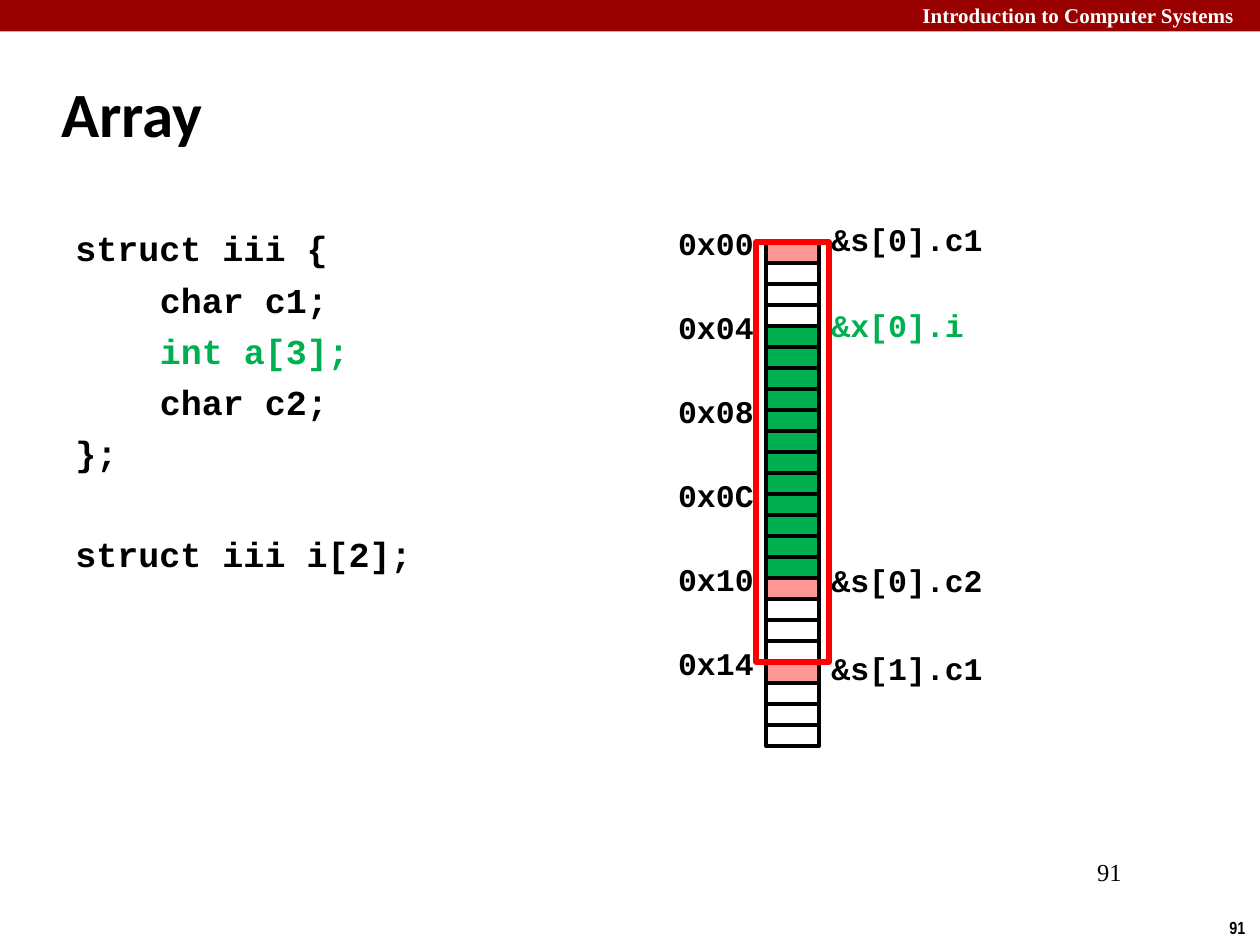
from dataclasses import dataclass

from pptx import Presentation
from pptx import util as u
from pptx.dml.color import RGBColor
from pptx.enum import shapes, text


@dataclass(frozen=True)
class Theme:
    black: str = "000000"
    white: str = "FFFFFF"
    banner: str = "990000"
    char: str = "FF9797"
    array: str = "00B050"
    outline: str = "FF0000"
    title_size: int = 36
    code_size: int = 20
    label_size: int = 18
    number_size: int = 14
    header_size: int = 12
    footer_size: int = 10
    heading: str = "Calibri"
    code: str = "Courier New"
    serif: str = "Times New Roman"
    narrow: str = "Arial Narrow"


T = Theme()
CELL_LEFT, CELL_TOP = 6.08, 1.92
CELL_W, CELL_H = 0.42, 1 / 6
ROWS, WORD, STRUCT_ROWS = 24, 4, 20
CHAR_ROWS = (0, 16, 20)
ARRAY_ROWS = range(4, 16)
LINE_GAP = 0.265

CODE = [
    ("struct iii {", 0, T.black, 0),
    ("char c1;", 1, T.black, 0),
    ("int a[3];", 1, T.array, 0),
    ("char c2;", 1, T.black, 0),
    ("};", 0, T.black, 0),
    ("struct iii i[2];", 0, T.black, 28),
]
FIELDS = [
    ("&s[0].c1", 1.7, T.black),
    ("&x[0].i", 2.38, T.array),
    ("&s[0].c2", 4.4, T.black),
    ("&s[1].c1", 5.1, T.black),
]


def add_box(s, x, y, w, h, wrap=True, anchor=text.MSO_ANCHOR.TOP):
    sp = s.shapes.add_textbox(*map(u.Inches, (x, y, w, h)))
    tf = sp.text_frame
    tf.word_wrap = wrap
    tf.vertical_anchor = anchor
    return tf


def write(p, words, font, size, color=T.black, bold=True, right=False, before=0, indent=0):
    p.alignment = text.PP_ALIGN.RIGHT if right else text.PP_ALIGN.LEFT
    p.space_before = u.Pt(before)
    if indent:
        p._p.get_or_add_pPr().set("marL", str(u.Inches(indent)))
    r = p.add_run()
    r.text = words
    r.font.name = font
    r.font.size = u.Pt(size)
    r.font.bold = bold
    r.font.color.rgb = RGBColor.from_string(color)


def add_rect(s, x, y, w, h, fill=None, line=None, weight=2.25):
    sp = s.shapes.add_shape(shapes.MSO_SHAPE.RECTANGLE, *map(u.Inches, (x, y, w, h)))
    sp.shadow.inherit = False
    if fill:
        sp.fill.solid()
        sp.fill.fore_color.rgb = RGBColor.from_string(fill)
    else:
        sp.fill.background()
    if line:
        sp.line.color.rgb = RGBColor.from_string(line)
        sp.line.width = u.Pt(weight)
    else:
        sp.line.fill.background()


def add_label(s, words, x, y, w, **style):
    tf = add_box(s, x, y, w, 0.4)
    write(tf.paragraphs[0], words, T.code, T.label_size, before=LINE_GAP * T.label_size, **style)


def add_frame(s):
    add_rect(s, 0, 0, 10, 0.25, fill=T.banner)
    header = add_box(s, 5.87, -0.03, 4.02, 0.3)
    write(header.paragraphs[0], "Introduction to Computer Systems", T.serif, T.header_size,
          color=T.white, right=True)
    footer = add_box(s, 9.66, 7.23, 0.34, 0.27, wrap=False)
    write(footer.paragraphs[0], "91", T.narrow, T.footer_size)
    number = add_box(s, 7.58, 6.75, 1.42, 0.5)
    write(number.paragraphs[0], "91", T.serif, T.number_size, bold=False, right=True)
    title = add_box(s, 0.39, 0.48, 8.3, 0.83, anchor=text.MSO_ANCHOR.MIDDLE)
    write(title.paragraphs[0], "Array", T.heading, T.title_size)


def add_code(s):
    tf = add_box(s, 0.5, 1.75, 3.33, 4.25)
    for i, (words, level, color, extra) in enumerate(CODE):
        p = tf.add_paragraph() if i else tf.paragraphs[0]
        write(p, words, T.code, T.code_size, color=color,
              before=LINE_GAP * T.code_size + extra, indent=level * 0.67)


def add_memory(s):
    for row in range(ROWS):
        fill = T.char if row in CHAR_ROWS else T.array if row in ARRAY_ROWS else None
        add_rect(s, CELL_LEFT, CELL_TOP + row * CELL_H, CELL_W, CELL_H, fill, T.black)
    for row in range(0, ROWS, WORD):
        add_label(s, f"0x{row:02X}", 5.25, 1.73 + row * CELL_H, 0.83, right=True)
    for words, y, color in FIELDS:
        add_label(s, words, 6.5, y, 1.5, color=color)
    add_rect(s, 6, CELL_TOP, 0.58, STRUCT_ROWS * CELL_H, line=T.outline, weight=3)


def main():
    prs = Presentation()
    prs.slide_width, prs.slide_height = u.Inches(10), u.Inches(7.5)
    s = prs.slides.add_slide(prs.slide_layouts[6])
    add_frame(s)
    add_code(s)
    add_memory(s)
    prs.save("out.pptx")


if __name__ == "__main__":
    main()
